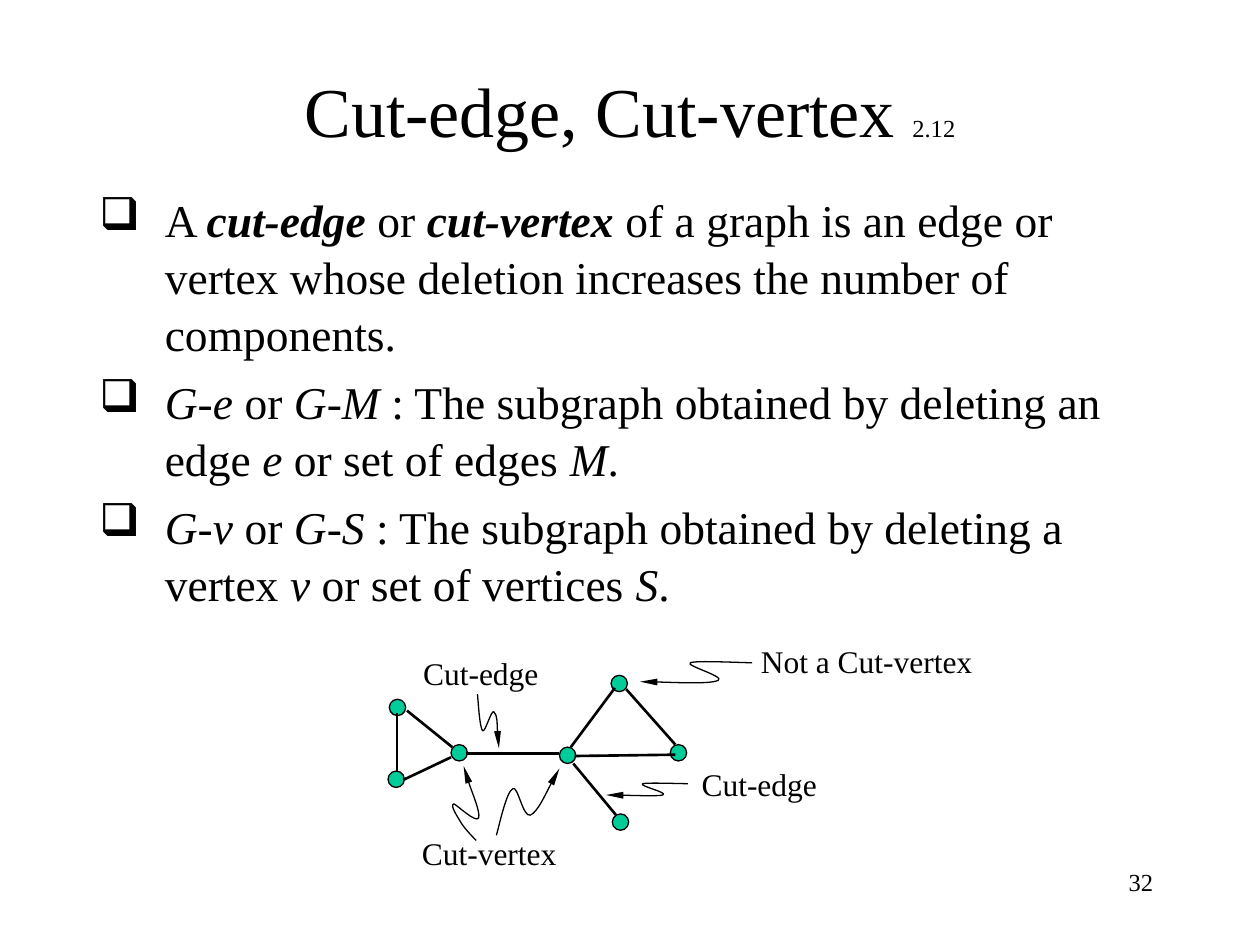
from lxml.etree import SubElement
from pptx import Presentation
from pptx.dml.color import RGBColor
from pptx.enum.shapes import MSO_CONNECTOR, MSO_SHAPE
from pptx.enum.text import MSO_ANCHOR, PP_ALIGN
from pptx.oxml.ns import qn
from pptx.util import Inches, Pt

COLS, ROWS = 1000, 750
WIDTH, HEIGHT = Inches(10), Inches(7.5)
COLORS = {"ink": "000000", "vertex": "00CC99"}
FONT = "Times New Roman"

TITLE = [("Cut-edge, Cut-vertex ", 40, ""), ("2.12", 14, "")]
BODY = [
    [("A ", ""), ("cut-edge", "bi"), (" or ", ""), ("cut-vertex", "bi"),
     (" of a graph is an edge or vertex whose deletion increases "
      "the number of components.", "")],
    [("G", "i"), ("-", ""), ("e", "i"), (" or ", ""), ("G", "i"), ("-", ""),
     ("M", "i"), (" : The subgraph obtained by deleting an edge ", ""),
     ("e", "i"), (" or set of edges ", ""), ("M", "i"), (".", "")],
    [("G", "i"), ("-", ""), ("v ", "i"), ("or ", ""), ("G", "i"), ("-", ""),
     ("S", "i"), (" : The subgraph obtained by deleting a vertex ", ""),
     ("v", "i"), (" or set of vertices ", ""), ("S", "i"), (".", "")],
]
VERTICES = [(309, 555), (308, 612), (358, 591), (444, 593),
            (485, 536), (532, 591), (486, 646)]
EDGES = [
    ((315, 566), (315, 612)), ((323, 564), (359, 593)),
    ((320, 619), (358, 601)), ((370, 598), (444, 598)),
    ((488, 546), (453, 593)), ((455, 606), (489, 647)),
    ((497, 547), (536, 591)), ((456, 600), (536, 599)),
]
LABELS = [
    ("Not a Cut-vertex", 594, 505, 193), ("Cut-edge", 326, 514, 157),
    ("Cut-edge", 547, 602, 157), ("Cut-vertex", 325, 657, 157),
]
POINTERS = [
    [(379, 551), (380, 564), (381, 577), (383, 580), (385, 582), (390, 563),
     (392, 565), (395, 568), (395, 589), (396, 594)],
    [(546, 622), (540, 622), (514, 621), (510, 622), (507, 624), (531, 629),
     (526, 631), (522, 632), (491, 631), (481, 631)],
    [(378, 667), (376, 665), (369, 658), (366, 653), (363, 648), (357, 639),
     (360, 638), (362, 638), (378, 654), (380, 649), (381, 644), (370, 617),
     (368, 608)],
    [(394, 663), (396, 656), (402, 628), (407, 626), (411, 623), (415, 649),
     (421, 647), (427, 644), (439, 618), (444, 610)],
    [(597, 526), (588, 526), (552, 524), (548, 526), (543, 528), (576, 537),
     (570, 540), (563, 543), (521, 541), (508, 541)],
]


def col(n):
    """Return the length of n grid columns."""
    return round(WIDTH * n / COLS)


def row(n):
    """Return the length of n grid rows."""
    return round(HEIGHT * n / ROWS)


def rgb(name):
    """Look up a named colour."""
    return RGBColor.from_string(COLORS[name])


def set_line(shape, width):
    """Give a shape or connector a plain ink line."""
    shape.line.color.rgb = rgb("ink")
    shape.line.width = Pt(width)


def add_run(p, text, size, style=""):
    """Append one run; style may hold b and i."""
    r = p.add_run()
    r.text = text
    r.font.name, r.font.size = FONT, Pt(size)
    r.font.bold, r.font.italic = "b" in style, "i" in style
    r.font.color.rgb = rgb("ink")


def add_box(s, x, y, w, h, anchor=MSO_ANCHOR.TOP):
    """Add a wrapping text box and return its text frame."""
    tf = s.shapes.add_textbox(col(x), row(y), col(w), row(h)).text_frame
    tf.word_wrap = True
    tf.vertical_anchor = anchor
    return tf


def add_line(s, x, y, w, h, runs, align=PP_ALIGN.LEFT, anchor=MSO_ANCHOR.TOP):
    """Add a box holding one paragraph of runs."""
    p = add_box(s, x, y, w, h, anchor).paragraphs[0]
    p.alignment = align
    for text, size, style in runs:
        add_run(p, text, size, style)


def add_bullets(s, x, y, w, h, items):
    """Add a box of paragraphs with hanging square bullets."""
    tf = add_box(s, x, y, w, h)
    for i, runs in enumerate(items):
        p = tf.add_paragraph() if i else tf.paragraphs[0]
        p.line_spacing = 1.04
        p.space_before = Pt(6.5 if i else 0)
        pPr = p._p.get_or_add_pPr()
        pPr.set("marL", str(col(52)))
        pPr.set("indent", str(-col(52)))
        clr = SubElement(pPr, qn("a:buClr"))
        SubElement(clr, qn("a:srgbClr"), val=COLORS["ink"])
        SubElement(pPr, qn("a:buChar"), char="❑")
        for text, style in runs:
            add_run(p, text, 26, style)


def add_vertex(s, x, y):
    """Add a round graph vertex."""
    sp = s.shapes.add_shape(MSO_SHAPE.OVAL, col(x), row(y), col(13), row(13))
    sp.shadow.inherit = False
    sp.fill.solid()
    sp.fill.fore_color.rgb = rgb("vertex")
    set_line(sp, 0.75)


def add_edge(s, start, end):
    """Add a straight graph edge."""
    cx = s.shapes.add_connector(MSO_CONNECTOR.STRAIGHT, col(start[0]),
                                row(start[1]), col(end[0]), row(end[1]))
    set_line(cx, 1.5)
    SubElement(cx._element.spPr, qn("a:effectLst"))


def add_pointer(s, points):
    """Add a curved arrow from a start point and triples of Bezier points."""
    pts = [(col(x), row(y)) for x, y in points]
    fb = s.shapes.build_freeform(*pts[0])
    fb.add_line_segments(pts[1:], close=False)
    sp = fb.convert_to_shape()
    sp.shadow.inherit = False
    sp.fill.background()
    set_line(sp, 0.75)
    SubElement(sp.line._get_or_add_ln(), qn("a:tailEnd"),
               type="triangle", w="sm", len="lg")
    path = next(sp._element.iter(qn("a:path")))
    for i, seg in enumerate(path.findall(qn("a:lnTo"))):
        if i % 3 == 0:
            curve = SubElement(path, qn("a:cubicBezTo"))
        curve.append(seg[0])
        path.remove(seg)


def main():
    """Build the slide and save it."""
    prs = Presentation()
    prs.slide_width, prs.slide_height = WIDTH, HEIGHT
    s = prs.slides.add_slide(prs.slide_layouts[6])
    add_line(s, 75, 33, 850, 108, TITLE, PP_ALIGN.CENTER, MSO_ANCHOR.MIDDLE)
    add_bullets(s, 69, 146, 850, 349, BODY)
    for x, y in VERTICES:
        add_vertex(s, x, y)
    for start, end in EDGES:
        add_edge(s, start, end)
    for text, x, y, w in LABELS:
        add_line(s, x, y, w, 40, [(text, 18, "")])
    for points in POINTERS:
        add_pointer(s, points)
    add_line(s, 717, 683, 208, 50, [("32", 14, "")], PP_ALIGN.RIGHT)
    prs.save("out.pptx")


if __name__ == "__main__":
    main()
